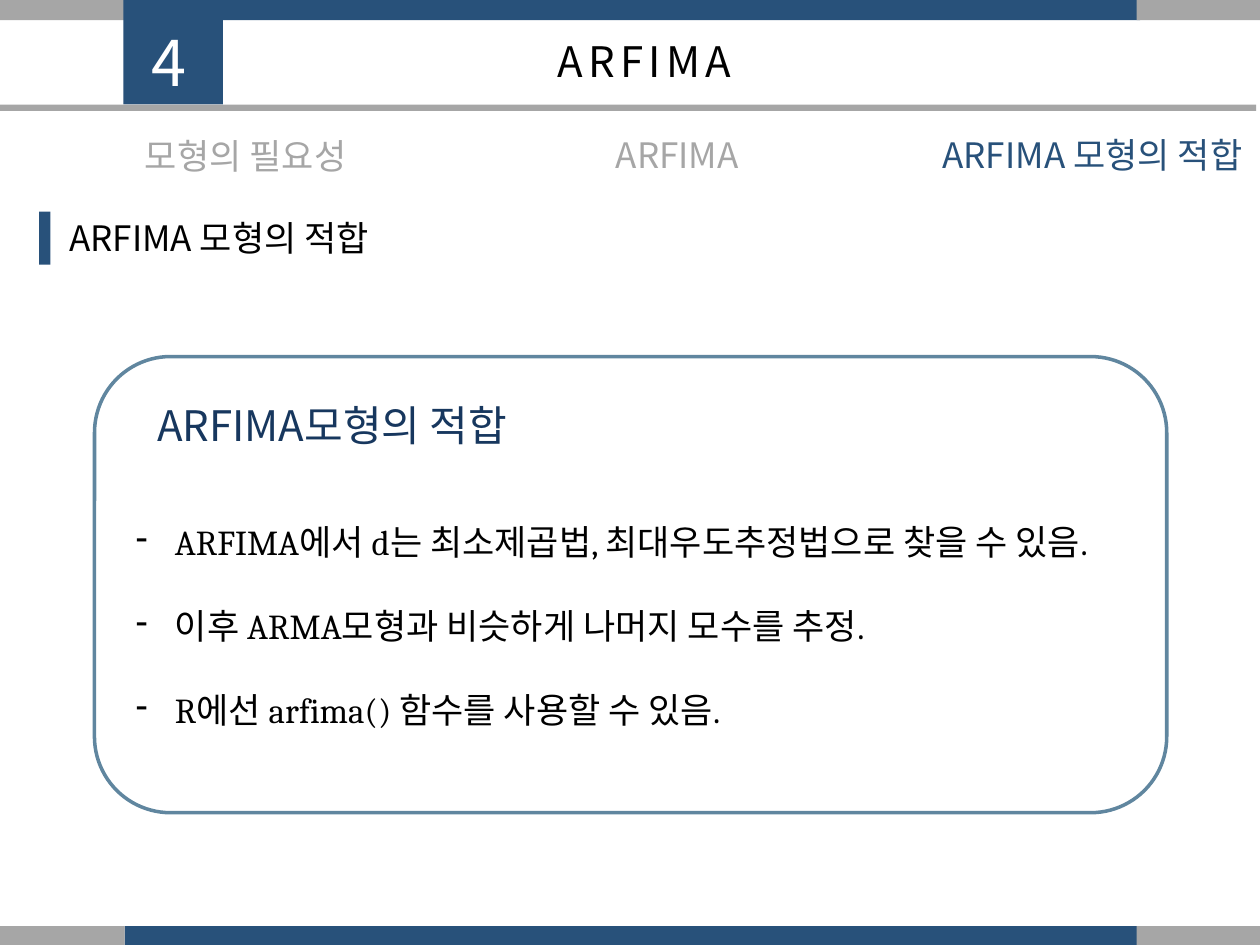
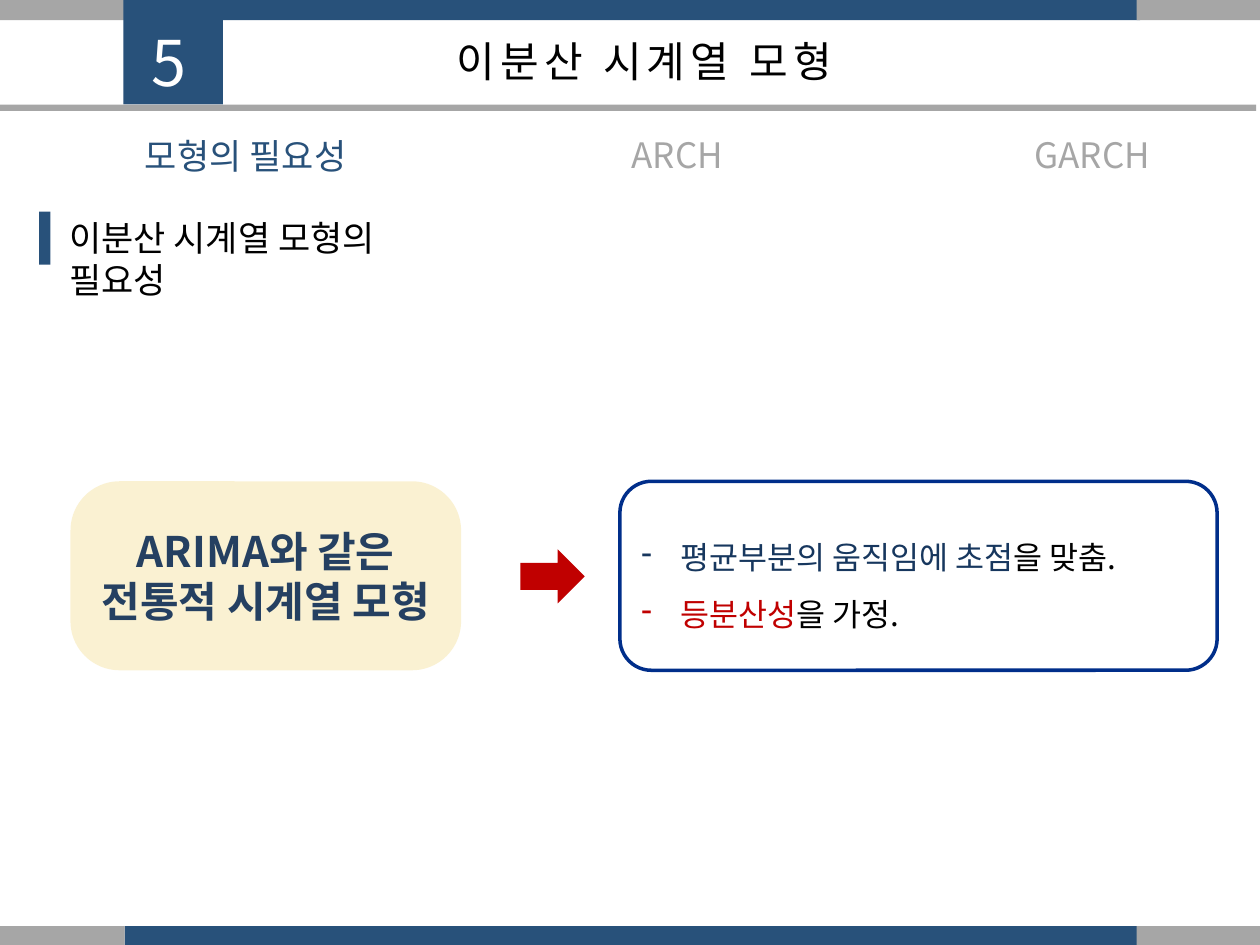
from lxml import etree
from pptx import Presentation
from pptx.dml.color import RGBColor
from pptx.enum import shapes, text
from pptx.oxml import ns
from pptx.util import Inches, Pt

BLUE = RGBColor(0x28, 0x51, 0x7A)
GREY = RGBColor(0xA6, 0xA6, 0xA6)
WHITE = RGBColor(0xFF, 0xFF, 0xFF)
BLACK = RGBColor(0, 0, 0)
NAVY = RGBColor(0x17, 0x37, 0x5E)
INK = RGBColor(0x25, 0x40, 0x61)
STEEL = RGBColor(0x60, 0x86, 0x9F)
ROYAL = RGBColor(0x00, 0x2E, 0x8A)
RED = RGBColor(0xC0, 0, 0)
GOLD = RGBColor(0xF0, 0xD3, 0x6C)

SANS = "Noto Sans CJK KR"
SERIF = "Cambria"
KIND = shapes.MSO_SHAPE
LEFT, CENTER = text.PP_ALIGN.LEFT, text.PP_ALIGN.CENTER

# Left, top, width and height of the three tabs
TABS = [(0.53, 1.02, 2.84, 0.44), (4.39, 1.01, 1.97, 0.44),
        (7.37, 1.01, 2.6, 0.44)]


def place(box):
    return [Inches(n) for n in box]


def shape(slide, box, fill=None, line=None, kind=KIND.RECTANGLE):
    item = slide.shapes.add_shape(kind, *place(box))
    item.shadow.inherit = False
    if fill is None:
        item.fill.background()
    else:
        item.fill.solid()
        item.fill.fore_color.rgb = fill
    if line is None:
        item.line.fill.background()
    else:
        item.line.color.rgb = line
        item.line.width = Pt(2)
    return item


def fade(item, percent):
    color = item.fill._xPr.find(".//" + ns.qn("a:srgbClr"))
    etree.SubElement(color, ns.qn("a:alpha"), val=str(percent * 1000))


def write(frame, paras, size, color=BLACK, align=CENTER, face=SANS,
          bold=False, track=0, dash=False, lead=None):
    """Each paragraph is a string or a list of (words, colour) runs."""
    frame.word_wrap = True
    for i, runs in enumerate(paras):
        para = frame.paragraphs[0] if i == 0 else frame.add_paragraph()
        para.alignment = align
        para.line_spacing = lead
        font = para.font
        font.name, font.size, font.bold = face, Pt(size), bold
        font.color.rgb = color
        props = para._p.pPr
        base = props.find(ns.qn("a:defRPr"))
        etree.SubElement(base, ns.qn("a:ea"), typeface=SANS)
        if track:
            base.set("spc", str(track * 100))
        if dash:
            props.set("marL", str(Inches(0.31)))
            props.set("indent", str(-Inches(0.31)))
            mark = etree.Element(ns.qn("a:buChar"), char="-")
            base.addprevious(mark)
        if isinstance(runs, str):
            para.add_run().text = runs
        else:
            for words, tint in runs:
                run = para.add_run()
                run.text = words
                run.font.color.rgb = tint


def label(slide, box, paras, size, **style):
    frame = slide.shapes.add_textbox(*place(box)).text_frame
    write(frame, paras, size, **style)
    frame.auto_size = text.MSO_AUTO_SIZE.SHAPE_TO_FIT_TEXT


def base(deck, number, title, tabs, active, head, width):
    slide = deck.slides.add_slide(deck.slide_layouts[6])
    # Bands at the top and bottom
    for top in (0, 7.35):
        shape(slide, (0.99, top, 8.06, 0.16), BLUE)
        shape(slide, (0, top, 0.99, 0.16), GREY)
        shape(slide, (9.02, top, 0.98, 0.16), GREY)
    # Chapter number, title and rule
    shape(slide, (0.98, 0, 0.79, 0.83), BLUE)
    label(slide, (3.03, 0.23, 4.17, 0.5), [title], 24, track=3)
    shape(slide, (-0.05, 0.83, 10.02, 0.05), GREY)
    label(slide, (0.91, 0.14, 0.87, 0.71), [number], 36,
          color=WHITE, track=3)
    # Section heading
    label(slide, (0.45, 1.67, width, 0.44), [head], 20, align=LEFT)
    shape(slide, (0.31, 1.68, 0.09, 0.42), BLUE)
    # Tabs
    for i, (box, name) in enumerate(zip(TABS, tabs)):
        label(slide, box, [name], 20, color=BLUE if i == active else GREY)
    return slide


def fitting(deck):
    slide = base(deck, "4", "ARFIMA",
                 ["모형의 필요성", "ARFIMA", "ARFIMA 모형의 적합"], 2,
                 "ARFIMA 모형의 적합", 2.59)
    # Framed panel
    shape(slide, (0.75, 2.83, 8.51, 3.62), line=STEEL,
          kind=KIND.ROUNDED_RECTANGLE)
    label(slide, (0.59, 3.12, 4.09, 0.5), ["ARFIMA모형의 적합"], 24,
          color=NAVY)
    label(slide, (0.98, 3.75, 8.27, 2.02),
          ["ARFIMA에서 d는 최소제곱법, 최대우도추정법으로 찾을 수 있음.",
           "이후 ARMA모형과 비슷하게 나머지 모수를 추정.",
           "R에선 arfima() 함수를 사용할 수 있음."],
          20, align=LEFT, face=SERIF, dash=True, lead=2.0)


def need(deck):
    slide = base(deck, "5", "이분산 시계열 모형",
                 ["모형의 필요성", "ARCH", "GARCH"], 0,
                 "이분산 시계열 모형의 필요성", 3.42)
    # Classical models
    card = shape(slide, (0.56, 3.82, 3.1, 1.5), GOLD,
                 kind=KIND.ROUNDED_RECTANGLE)
    card.adjustments[0] = 0.26
    fade(card, 30)
    write(card.text_frame, ["ARIMA와 같은", "전통적 시계열 모형"], 24,
          color=INK, bold=True)
    # Arrow to their traits
    arrow = shape(slide, (4.17, 4.32, 0.43, 0.51), RED, kind=KIND.UP_ARROW)
    arrow.rotation = 90
    traits = shape(slide, (4.92, 3.82, 4.74, 1.5), line=ROYAL,
                   kind=KIND.ROUNDED_RECTANGLE)
    write(traits.text_frame,
          [[("평균부분의 움직임에 초점", NAVY), ("을 맞춤.", BLACK)],
           [("등분산성", RED), ("을 가정.", BLACK)]],
          18, align=LEFT, dash=True, lead=1.5)


def main():
    deck = Presentation()
    deck.slide_width, deck.slide_height = Inches(10), Inches(7.5)
    fitting(deck)
    need(deck)
    deck.save("out.pptx")


main()
